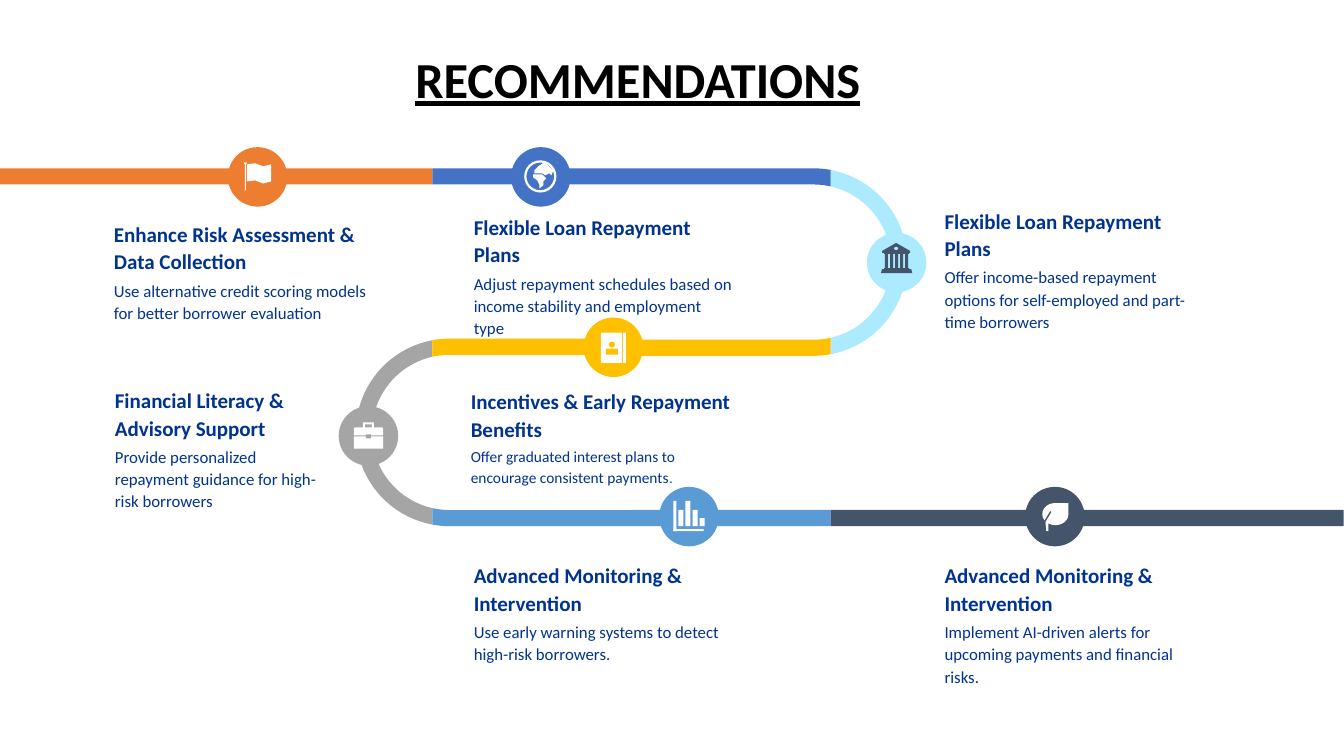
from math import acos, cos, pi, sin

from pptx import Presentation
from pptx import util as u
from pptx.dml.color import RGBColor
from pptx.enum import shapes, text

ORANGE, BLUE, AQUA, YELLOW = "ED7D31", "4472C4", "ACEAFF", "FFC000"
GRAY, SKY, SLATE, WHITE, NAVY = "A5A5A5", "5B9BD5", "44546A", "FFFFFF", "00338D"
PRESET = shapes.MSO_SHAPE
BAR, DOT = PRESET.RECTANGLE, PRESET.OVAL


def draw(color, outline, box=None, adjust=None):
    """Draw a preset shape in a box, or a polygon when the outline is a list of points."""
    if box:
        shape = slide.shapes.add_shape(outline, *[u.Inches(side) for side in box])
    else:
        corners = [(u.Inches(x), u.Inches(y)) for x, y in outline]
        builder = slide.shapes.build_freeform(*corners[0])
        builder.add_line_segments(corners[1:], close=True)
        shape = builder.convert_to_shape()
    if adjust is not None:
        shape.adjustments[0] = adjust
    shape.fill.solid()
    shape.fill.fore_color.rgb = RGBColor.from_string(color)
    shape.line.fill.background()
    shape.shadow.inherit = False


def write(paragraph, words, size=12, color=NAVY, font="Calibri", bold=False,
          underline=False, spacing=1.1, after=3):
    paragraph.alignment = text.PP_ALIGN.LEFT
    paragraph.line_spacing = spacing
    paragraph.space_after = u.Pt(after)
    run = paragraph.add_run()
    run.text = words
    run.font.size = u.Pt(size)
    run.font.name = font
    run.font.bold = bold
    run.font.underline = underline
    run.font.color.rgb = RGBColor.from_string(color)


deck = Presentation()
deck.slide_width, deck.slide_height = u.Inches(13.333), u.Inches(7.5)
slide = deck.slides.add_slide(deck.slide_layouts[5])

# Title
title = slide.shapes.title
title.left, title.top = u.Inches(4.02), u.Inches(0.24)
title.width, title.height = u.Inches(5.75), u.Inches(1.15)
title.text_frame.vertical_anchor = text.MSO_ANCHOR.MIDDLE
title.text_frame.auto_size = text.MSO_AUTO_SIZE.NONE
write(title.text_frame.paragraphs[0], "RECOMMENDATIONS", size=36, color="000000",
      bold=True, underline=True, spacing=0.9, after=0)

# Road: straight stretches
ROAD_WIDTH, ROAD_MIDDLE = 0.16, 6.26
for color, start, end, top in [(ORANGE, 0, 4.29, 1.67), (BLUE, 4.29, ROAD_MIDDLE, 1.67),
                               (SKY, ROAD_MIDDLE, 8.24, 5.06), (SLATE, 8.24, 13.33, 5.06)]:
    draw(color, BAR, (start, top, end - start, ROAD_WIDTH))

# Road: two half-circle bends; the colour changes a little way into each curve
OUTER = 0.93
INNER = OUTER - ROAD_WIDTH
COLOR_CHANGE = 0.17
for color, center_x, center_y, side, color_above, color_below in [
        (AQUA, 8.07, 2.6, 1, BLUE, YELLOW), (GRAY, 4.46, 4.29, -1, YELLOW, SKY)]:
    bend, above, below = [], [], []
    for radius, order in [(OUTER, 1), (INNER, -1)]:
        limit = acos(COLOR_CHANGE / radius)
        bend += [(center_x + side * radius * cos(limit * n / 20),
                  center_y + radius * sin(limit * n / 20)) for n in range(-20, 21)][::order]
        for stretch, vertical in [(above, -1), (below, 1)]:
            angles = [limit + (pi / 2 - limit) * n / 6 for n in range(7)]
            edge = [(center_x + side * radius * cos(angle),
                     center_y + vertical * radius * sin(angle)) for angle in angles]
            edge.append((ROAD_MIDDLE, center_y + vertical * radius))
            stretch += edge[::order]
    draw(color, bend)
    draw(color_above, above)
    draw(color_below, below)

# Icon parts: shape, offset from the circle's corner, width, height
# "ink" parts take the icon colour, "cutout" parts take the circle colour
globe = [(PRESET.DONUT, 0.13, 0.13, 0.32, 0.32)]
columns = [(BAR, 0.18 + 0.05 * n, 0.2, 0.03, 0.15) for n in range(5)]
bank = columns + [(PRESET.ISOSCELES_TRIANGLE, 0.15, 0.1, 0.28, 0.08),
                  (BAR, 0.15, 0.18, 0.28, 0.02), (BAR, 0.17, 0.2, 0.25, 0.01),
                  (BAR, 0.17, 0.35, 0.25, 0.02), (PRESET.TRAPEZOID, 0.14, 0.36, 0.31, 0.04)]
bank_window = [(DOT, 0.27, 0.14, 0.04, 0.03)]
contacts = [(BAR, 0.17, 0.15, 0.21, 0.3), (BAR, 0.39, 0.15, 0.03, 0.3)]
person = [(DOT, 0.25, 0.24, 0.06, 0.06),
          (PRESET.ROUND_2_SAME_RECTANGLE, 0.22, 0.31, 0.12, 0.06)]
briefcase = [(PRESET.FRAME, 0.24, 0.16, 0.11, 0.08),
             (PRESET.ROUND_2_SAME_RECTANGLE, 0.15, 0.21, 0.29, 0.08),
             (BAR, 0.15, 0.3, 0.29, 0.12)]
clasp = [(BAR, 0.27, 0.28, 0.05, 0.04)]
chart_axes = [(BAR, 0.14, 0.14, 0.03, 0.3), (BAR, 0.14, 0.42, 0.3, 0.02)]
chart_bars = [(BAR, 0.19 + 0.07 * n, 0.39 - height, 0.05, height)
              for n, height in enumerate([0.16, 0.25, 0.16, 0.08])]
flagpole = [(BAR, 0.17, 0.16, 0.01, 0.27), (DOT, 0.16, 0.15, 0.03, 0.02)]
leaf = [(PRESET.TEAR, 0.17, 0.16, 0.26, 0.22)]

# Stops along the road
STOP_SIZE = 0.59
THICKNESS = {PRESET.DONUT: 0.07, PRESET.FRAME: 0.25}
for left, top, color, icon_color, ink, cutout in [
        (5.07, 1.46, BLUE, WHITE, globe, []),
        (8.6, 2.31, AQUA, SLATE, bank, bank_window),
        (5.79, 3.15, YELLOW, WHITE, contacts, person),
        (3.36, 4.03, GRAY, WHITE, briefcase, clasp),
        (6.54, 4.83, SKY, WHITE, chart_axes + chart_bars, []),
        (2.26, 1.46, ORANGE, WHITE, flagpole, []),
        (10.17, 4.83, SLATE, WHITE, leaf, [])]:
    draw(color, DOT, (left, top, STOP_SIZE, STOP_SIZE))
    for part_color, parts in [(icon_color, ink), (color, cutout)]:
        for kind, x, y, width, height in parts:
            draw(part_color, kind, (left + x, top + y, width, height), THICKNESS.get(kind))

# Flag: three folded panels of equal width
PANEL_WIDTH, FLAG_HEIGHT = 0.08, 0.17
fold_tops = [1.63, 1.62, 1.65, 1.63]
for n, (near, far) in enumerate(zip(fold_tops, fold_tops[1:])):
    x = 2.45 + PANEL_WIDTH * n
    draw(WHITE, [(x, near), (x + PANEL_WIDTH, far),
                 (x + PANEL_WIDTH, far + FLAG_HEIGHT), (x, near + FLAG_HEIGHT)])

# Land on the globe, stem and vein of the leaf
africa = [(5.29, 1.73), (5.38, 1.73), (5.42, 1.77), (5.39, 1.8), (5.39, 1.84),
          (5.35, 1.87), (5.35, 1.83), (5.33, 1.79), (5.29, 1.76)]
eurasia = [(5.3, 1.72), (5.3, 1.69), (5.34, 1.65), (5.4, 1.61), (5.49, 1.69),
           (5.47, 1.74), (5.45, 1.72), (5.41, 1.74), (5.38, 1.72)]
stem = [(10.37, 5.16), (10.4, 5.18), (10.4, 5.27), (10.38, 5.27)]
vein = [(10.36, 5.17), (10.42, 5.07), (10.43, 5.08), (10.37, 5.18)]
for color, outline in [(WHITE, africa), (WHITE, eurasia), (WHITE, stem), (SLATE, vein)]:
    draw(color, outline)

# Recommendations
recommendations = [
    (1.13, 2.17, 2.58, 1.03, NAVY, 12, "Enhance Risk Assessment & Data Collection",
     "Use alternative credit scoring models for better borrower evaluation"),
    (4.7, 2.1, 2.58, 1.25, NAVY, 12, "Flexible Loan Repayment Plans",
     "Adjust repayment schedules based on income stability and employment type"),
    (4.67, 3.83, 2.58, 0.99, NAVY, 11, "Incentives & Early Repayment Benefits",
     "Offer graduated interest plans to encourage consistent payments"),
    (1.14, 3.82, 2.03, 1.25, NAVY, 12, "Financial Literacy & Advisory Support",
     "Provide personalized repayment guidance for high-risk borrowers"),
    (4.7, 5.56, 2.58, 1.03, NAVY, 12, "Advanced Monitoring & Intervention",
     "Use early warning systems to detect high-risk borrowers."),
    (9.37, 5.56, 2.58, 1.25, "003294", 12, "Advanced Monitoring & Intervention",
     "Implement AI-driven alerts for upcoming payments and financial risks."),
    (9.37, 2.04, 2.58, 1.25, NAVY, 12, "Flexible Loan Repayment Plans",
     "Offer income-based repayment options for self-employed and part-time borrowers"),
]
for left, top, width, height, color, size, heading, advice in recommendations:
    frame = slide.shapes.add_textbox(u.Inches(left), u.Inches(top), u.Inches(width),
                                     u.Inches(height)).text_frame
    frame.word_wrap = True
    frame.auto_size = text.MSO_AUTO_SIZE.SHAPE_TO_FIT_TEXT
    frame.margin_left = frame.margin_right = frame.margin_top = frame.margin_bottom = 0
    write(frame.paragraphs[0], heading, size=15, color=color, bold=True)
    body = frame.add_paragraph()
    write(body, advice, size=size, color=color)
    if not advice.endswith(".") and size == 11:
        write(body, ".", size=10, font="Arial")

deck.save("out.pptx")
